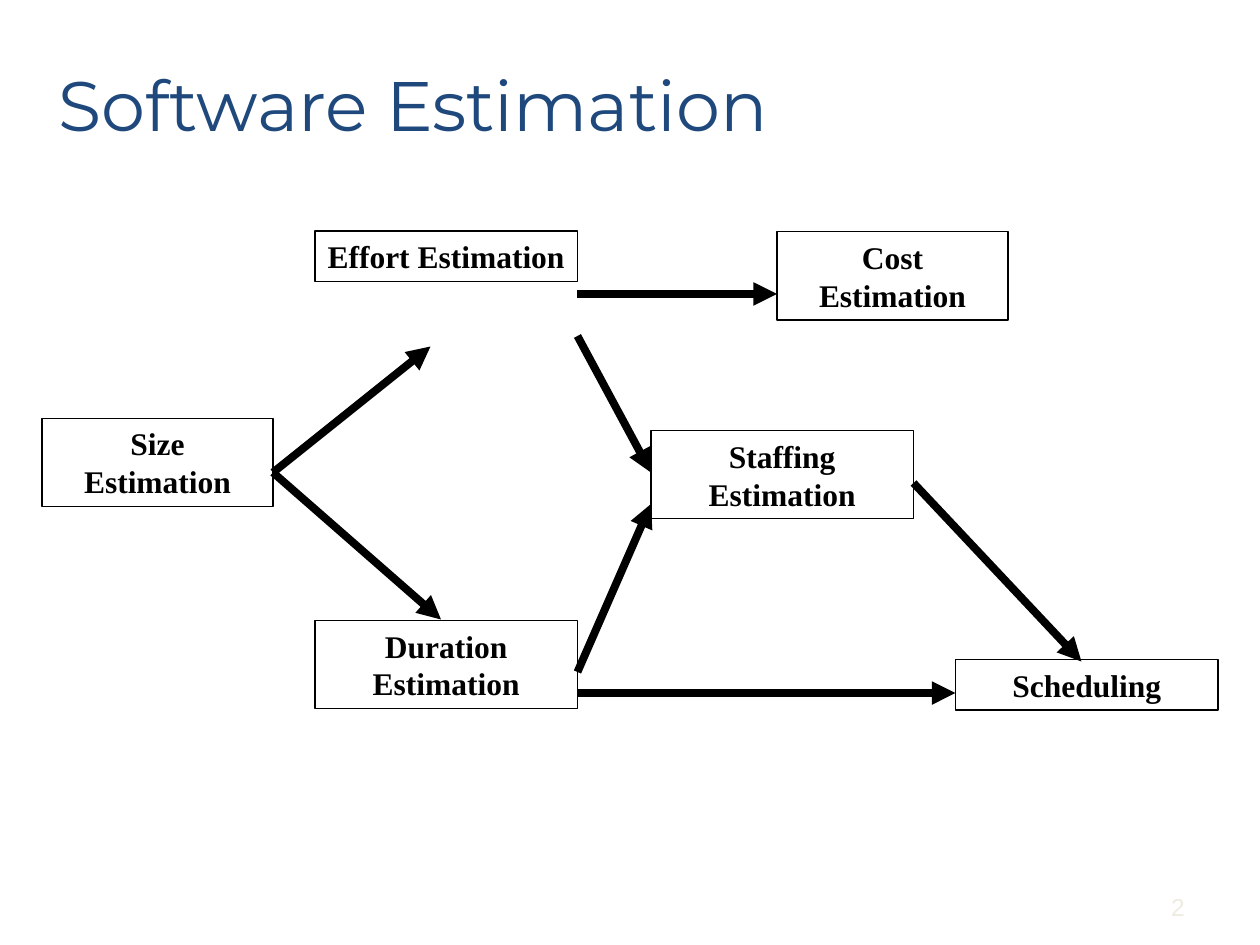
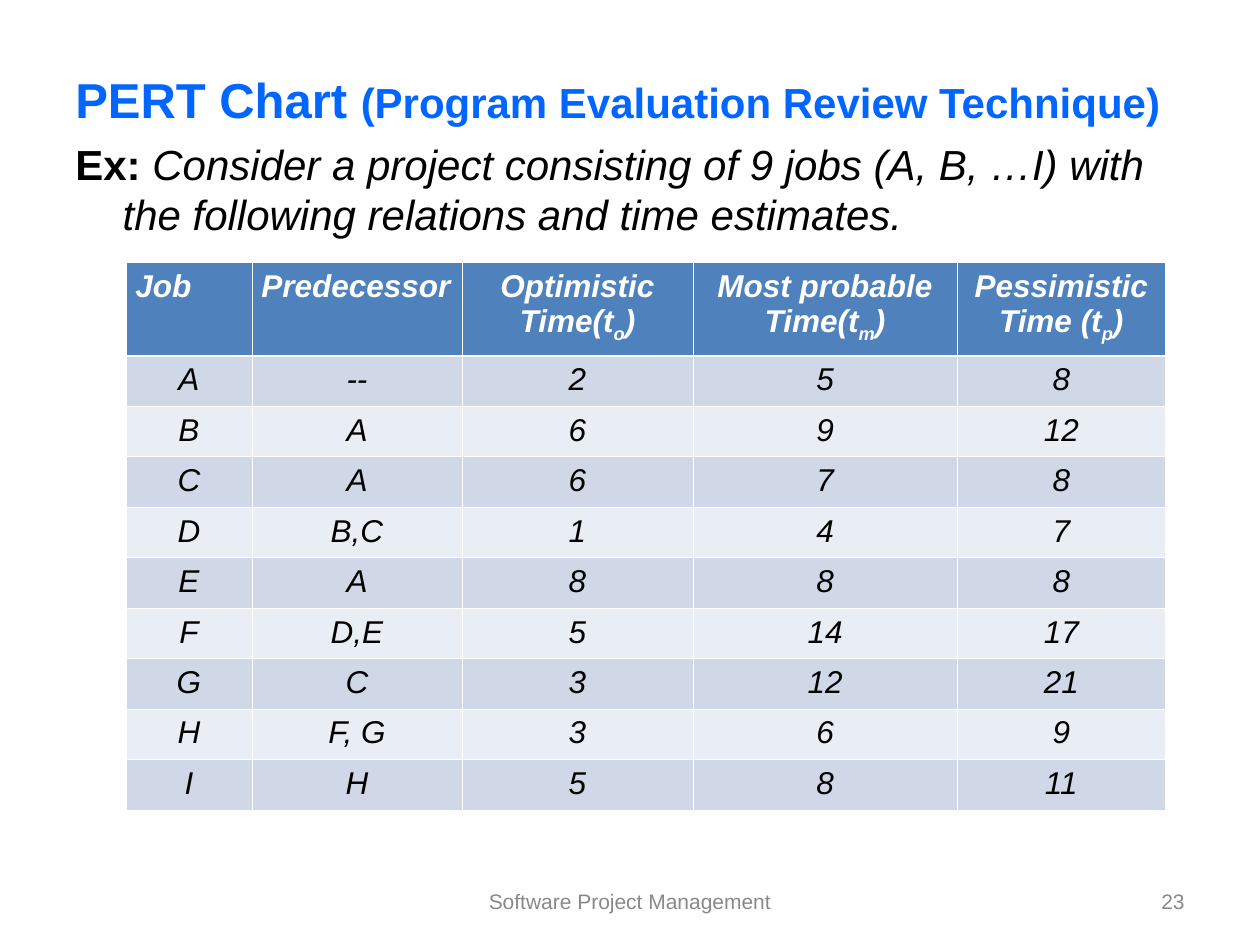
"""Build two slides on software estimation and PERT time estimates."""
from dataclasses import dataclass
from typing import NamedTuple

from lxml import etree
from pptx import Presentation
from pptx import util as u
from pptx.dml import color
from pptx.enum import shapes, text
from pptx.oxml import ns

BLACK, WHITE = "000000", "FFFFFF"
NAVY, BLUE, GREY, PALE = "1F497D", "0066FF", "898989", "EEECE1"
HEADER_FILL = "4F81BD"
BAND_FILLS = ("D0D8E8", "E9EDF4")
SANS, SERIF, DISPLAY = "Arial", "Times New Roman", "Montserrat"
CENTER, RIGHT, LEFT = text.PP_ALIGN.CENTER, text.PP_ALIGN.RIGHT, text.PP_ALIGN.LEFT
MIDDLE = text.MSO_ANCHOR.MIDDLE
ONE_LINE, TWO_LINES = 28.8, 50.4
FOOTER_TOP, FOOTER_HEIGHT = 500.4, 28.8


@dataclass(frozen=True)
class Style:
    """Look of one run of text."""
    size: float
    color: str = BLACK
    font: str = SANS
    bold: bool = False
    italic: bool = False
    subscript: bool = False


class Span(NamedTuple):
    """A run of text with its style."""
    words: str
    style: Style


class Box(NamedTuple):
    """A bordered step of the estimation flow."""
    label: str
    left: float
    top: float
    width: float
    height: float


class Arrow(NamedTuple):
    """An arrow between two points."""
    x1: float
    y1: float
    x2: float
    y2: float


BOXES = (
    Box("Size Estimation", 24, 239, 132, TWO_LINES),
    Box("Effort Estimation", 180, 132, 150, ONE_LINE),
    Box("Cost Estimation", 444, 132.5, 132, TWO_LINES),
    Box("Duration Estimation", 180, 354.5, 150, TWO_LINES),
    Box("Staffing Estimation", 372, 246, 150, TWO_LINES),
    Box("Scheduling", 546, 377, 150, ONE_LINE),
)
ARROWS = (
    Arrow(156, 270, 246, 198),
    Arrow(156, 270, 252, 354),
    Arrow(330, 168, 444, 168),
    Arrow(330, 192, 372, 270),
    Arrow(330, 384, 372, 288),
    Arrow(330, 396, 546, 396),
    Arrow(522, 276, 618, 378),
)
BOX_STYLE = Style(18, font=SERIF, bold=True)
FOOTER_STYLE = Style(12, GREY)
HEAD = Style(18, WHITE, bold=True, italic=True)
HEAD_SUB = Style(18, WHITE, bold=True, italic=True, subscript=True)
BODY = Style(18, italic=True)

COLUMN_WIDTHS = (72, 120, 132, 151, 119)
HEADER_HEIGHT, ROW_HEIGHT = 46, 28.8
HEADINGS = (("Job", ""), ("Predecessor", ""), ("Optimistic Time(t", "o"),
            ("Most probable Time(t", "m"), ("Pessimistic Time (t", "p"))
JOBS = (
    ("A", "--", 2, 5, 8),
    ("B", "A", 6, 9, 12),
    ("C", "A", 6, 7, 8),
    ("D", "B,C", 1, 4, 7),
    ("E", "A", 8, 8, 8),
    ("F", "D,E", 5, 14, 17),
    ("G", "C", 3, 12, 21),
    ("H", "F, G", 3, 6, 9),
    ("I", "H", 5, 8, 11),
)


def rgb(value: str) -> color.RGBColor:
    """Turn a hex string into a colour."""
    return color.RGBColor.from_string(value)


def write(paragraph, spans: list[Span], align=LEFT) -> None:
    """Add styled runs to a paragraph."""
    paragraph.alignment = align
    for words, style in spans:
        run = paragraph.add_run()
        run.text = words
        font = run.font
        font.name, font.size = style.font, u.Pt(style.size)
        font.bold, font.italic = style.bold, style.italic
        font.color.rgb = rgb(style.color)
        if style.subscript:
            run._r.get_or_add_rPr().set("baseline", "-25000")


def add_text(slide, left: float, top: float, width: float, height: float,
             paragraphs: list[list[Span]], align=LEFT, anchor=text.MSO_ANCHOR.TOP):
    """Add a wrapping text box and return its frame."""
    shape = slide.shapes.add_textbox(u.Pt(left), u.Pt(top), u.Pt(width), u.Pt(height))
    frame = shape.text_frame
    frame.word_wrap, frame.vertical_anchor = True, anchor
    for index, spans in enumerate(paragraphs):
        paragraph = frame.add_paragraph() if index else frame.paragraphs[0]
        write(paragraph, spans, align)
    return frame


def add_page_number(slide, number: int, style: Style, top: float = FOOTER_TOP) -> None:
    """Add the slide number at the lower right."""
    add_text(slide, 516, top, 168, FOOTER_HEIGHT, [[Span(str(number), style)]], RIGHT, MIDDLE)


def add_box(slide, box: Box) -> None:
    """Draw one outlined step."""
    shape = slide.shapes.add_shape(shapes.MSO_SHAPE.RECTANGLE, u.Pt(box.left), u.Pt(box.top),
                                   u.Pt(box.width), u.Pt(box.height))
    shape.shadow.inherit = False
    shape.fill.background()
    shape.line.color.rgb = rgb(BLACK)
    shape.line.width = u.Pt(0.75)
    shape.text_frame.word_wrap = True
    write(shape.text_frame.paragraphs[0], [Span(box.label, BOX_STYLE)], CENTER)


def add_arrow(slide, arrow: Arrow) -> None:
    """Draw one thick arrow."""
    connector = slide.shapes.add_connector(shapes.MSO_CONNECTOR.STRAIGHT,
                                           *(u.Pt(value) for value in arrow))
    connector.line.color.rgb = rgb(BLACK)
    connector.line.width = u.Pt(4.5)
    etree.SubElement(connector.line._get_or_add_ln(), ns.qn("a:tailEnd"), type="triangle")
    etree.SubElement(connector._element.spPr, ns.qn("a:effectLst"))


def set_borders(cell, top: float, bottom: float) -> None:
    """Give a cell thin white sides and the given top and bottom lines."""
    properties = cell._tc.get_or_add_tcPr()
    widths = {"a:lnL": 0.45, "a:lnR": 0.45, "a:lnT": top, "a:lnB": bottom}
    for index, (tag, width) in enumerate(widths.items()):
        line = etree.Element(ns.qn(tag), w=str(u.Pt(width)))
        fill = etree.SubElement(line, ns.qn("a:solidFill"))
        etree.SubElement(fill, ns.qn("a:srgbClr"), val=WHITE)
        properties.insert(index, line)


def heading_spans(words: str, subscript: str) -> list[Span]:
    """Return the runs of a column heading."""
    spans = [Span(words, HEAD)]
    if subscript:
        spans += [Span(subscript, HEAD_SUB), Span(")", HEAD)]
    return spans


def add_job_table(slide) -> None:
    """Draw the table of jobs and time estimates."""
    rows = [[heading_spans(*heading) for heading in HEADINGS]]
    rows += [[[Span(str(value), BODY)] for value in job] for job in JOBS]
    height = HEADER_HEIGHT + ROW_HEIGHT * len(JOBS)
    table = slide.shapes.add_table(len(rows), len(COLUMN_WIDTHS), u.Pt(72), u.Pt(150),
                                   u.Pt(sum(COLUMN_WIDTHS)), u.Pt(height)).table
    for column, width in zip(table.columns, COLUMN_WIDTHS):
        column.width = u.Pt(width)
    for r, row in enumerate(rows):
        table.rows[r].height = u.Pt(ROW_HEIGHT if r else HEADER_HEIGHT)
        for c, spans in enumerate(row):
            cell = table.cell(r, c)
            cell.margin_left = cell.margin_right = u.Pt(5.4)
            cell.fill.solid()
            cell.fill.fore_color.rgb = rgb(BAND_FILLS[(r - 1) % 2] if r else HEADER_FILL)
            set_borders(cell, 1.5 if r == 1 else 0.45, 0.45 if r else 1.5)
            write(cell.text_frame.paragraphs[0], spans, CENTER if r or c > 1 else LEFT)


def build_estimation_slide(slide) -> None:
    """Build the flow of estimation steps."""
    for box in BOXES:
        add_box(slide, box)
    for arrow in ARROWS:
        add_arrow(slide, arrow)
    title = add_text(slide, 32, 14.4, 612, 90,
                     [[Span("Software Estimation", Style(40, NAVY, DISPLAY))]], anchor=MIDDLE)
    title.margin_left = title.margin_right = u.Pt(1.5)
    add_page_number(slide, 2, Style(14, PALE), 504)


def build_pert_slide(slide) -> None:
    """Build the PERT example."""
    frame = add_text(slide, 36, 36, 648, 108, [
        [Span("PERT Chart ", Style(28, BLUE, bold=True)),
         Span("(Program Evaluation Review Technique)", Style(24, BLUE, bold=True))],
        [Span("Ex:", Style(24, bold=True)),
         Span(" Consider a project consisting of 9 jobs (A, B, …I) with the following "
              "relations and time estimates.", Style(24, italic=True))],
    ])
    for paragraph in frame.paragraphs:
        paragraph.space_before = u.Pt(6)
        properties = paragraph._p.get_or_add_pPr()
        properties.set("marL", str(u.Pt(27)))
        properties.set("indent", str(u.Pt(-27)))
    add_job_table(slide)
    add_text(slide, 246, FOOTER_TOP, 228, FOOTER_HEIGHT,
             [[Span("Software Project Management", FOOTER_STYLE)]], CENTER, MIDDLE)
    add_page_number(slide, 23, FOOTER_STYLE)


def main() -> None:
    """Create and save the presentation."""
    presentation = Presentation()
    presentation.slide_width, presentation.slide_height = u.Pt(720), u.Pt(540)
    for build in (build_estimation_slide, build_pert_slide):
        build(presentation.slides.add_slide(presentation.slide_layouts[6]))
    presentation.save("out.pptx")


if __name__ == "__main__":
    main()
